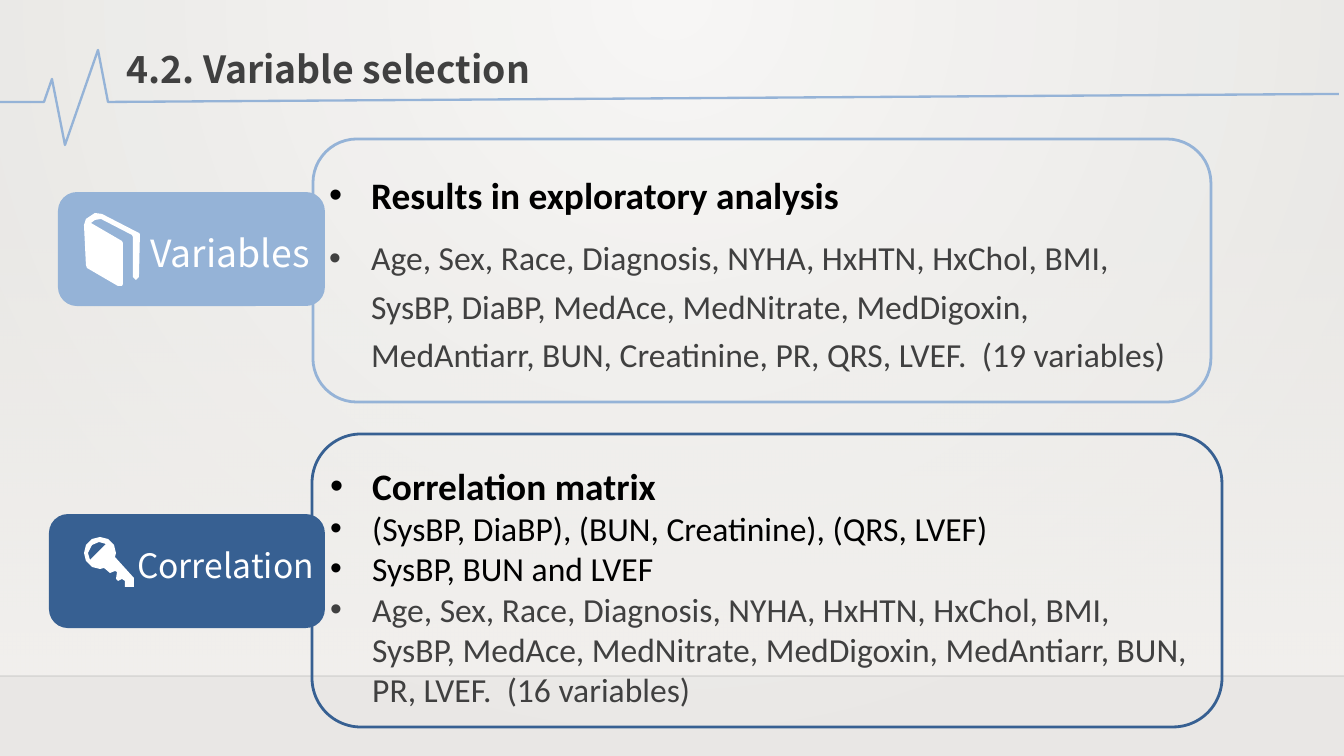
from math import cos, radians, sin

from lxml.etree import SubElement
from pptx import Presentation
from pptx.dml.color import RGBColor
from pptx.enum.shapes import MSO_CONNECTOR, MSO_SHAPE
from pptx.enum.text import MSO_ANCHOR, MSO_AUTO_SIZE, PP_ALIGN
from pptx.oxml.ns import qn
from pptx.util import Pt

PX = 6804  # EMU per pixel
COLORS = {"light": "95B3D7", "dark": "376092", "white": "FFFFFF",
          "gray": "404040", "black": "000000", "sand": "DFDBD5",
          "bg_in": "ECEAE7", "bg_out": "CAC7C1"}
RGB = {name: RGBColor.from_string(value) for name, value in COLORS.items()}
HEAD, BODY = "Noto Sans CJK SC", "Calibri"


def style(sp, fill=None, line=None, width=1):
    sp.shadow.inherit = False
    if fill:
        sp.fill.solid()
        sp.fill.fore_color.rgb = RGB[fill]
    else:
        sp.fill.background()
    if line:
        sp.line.color.rgb = RGB[line]
        sp.line.width = Pt(width)
    else:
        sp.line.fill.background()


def write(p, text, font=BODY, size=18, color="black", bold=False,
          align=PP_ALIGN.LEFT, spacing=1, before=0, bullet=False):
    p.alignment = align
    p.line_spacing = spacing
    p.space_before = Pt(before)
    if bullet:
        pPr = p._p.get_or_add_pPr()
        pPr.set("marL", str(42 * PX))
        pPr.set("indent", str(-42 * PX))
        SubElement(pPr, qn("a:buFont"), typeface="Arial")
        SubElement(pPr, qn("a:buChar"), char="•")
    r = p.add_run()
    r.text = text
    r.font.name, r.font.size, r.font.bold = font, Pt(size), bold
    r.font.color.rgb = RGB[color]


prs = Presentation()
prs.slide_width, prs.slide_height = 1344 * PX, 756 * PX
s = prs.slides.add_slide(prs.slide_layouts[5])

# Background: radial gradient
fill = s.background.fill
fill.gradient()
for stop, name in zip(fill.gradient_stops, ("bg_in", "bg_out")):
    stop.color.rgb = RGB[name]
grad = s.element.find(".//" + qn("a:gradFill"))
grad.remove(grad.find(qn("a:lin")))
path = SubElement(grad, qn("a:path"), path="circle")
SubElement(path, qn("a:fillToRect"), l="43000", t="0", r="43000", b="100000")

# Background: fading wall, floor line and white veil
wall = s.shapes.add_shape(MSO_SHAPE.RECTANGLE, 0, 223 * PX, 1344 * PX, 453 * PX)
style(wall)
wall.fill.gradient()
wall.fill.gradient_angle = 270
for stop in wall.fill.gradient_stops:
    stop.color.rgb = RGB["sand"]
floor = s.shapes.add_connector(MSO_CONNECTOR.STRAIGHT, 0, 676 * PX, 1344 * PX, 676 * PX)
floor.line.color.rgb = RGB["black"]
floor.line.width = Pt(1)
SubElement(floor.element.spPr, qn("a:effectLst"))
veil = s.shapes.add_shape(MSO_SHAPE.RECTANGLE, 0, 0, 1344 * PX, 756 * PX)
style(veil, fill="white")
for sp, percent in ((wall, 0), (floor, 20), (veil, 59)):
    color = sp.element.find(".//" + qn("a:srgbClr"))
    SubElement(color, qn("a:alpha"), val=str(percent * 1000))

# Heartbeat line
pulse = [(0, 102), (44, 102), (52, 79), (65, 145), (98, 50), (108, 102), (1339, 94)]
fb = s.shapes.build_freeform(*pulse[0], scale=PX)
fb.add_line_segments(pulse[1:], close=False)
style(fb.convert_to_shape(), line="light", width=1.25)

# Frames and label cards
for box, fill, line in (
    ((313, 139, 898, 263), None, "light"),
    ((312, 434, 910, 293), None, "dark"),
    ((49, 514, 276, 114), "dark", None),
    ((58, 192, 267, 114), "light", None),
):
    sp = s.shapes.add_shape(MSO_SHAPE.ROUNDED_RECTANGLE, *[v * PX for v in box])
    style(sp, fill, line, 1.5)

# Title
title = s.shapes.title
title.left, title.top, title.width, title.height = [v * PX for v in (109, 39, 439, 59)]
tf = title.text_frame
tf.word_wrap = False
tf.auto_size = MSO_AUTO_SIZE.SHAPE_TO_FIT_TEXT
tf.vertical_anchor = MSO_ANCHOR.TOP
write(tf.paragraphs[0], "4.2. Variable selection", font=HEAD, size=20,
      color="gray", bold=True, align=PP_ALIGN.CENTER)
title.element.getparent().append(title.element)  # in front of the veil

# Labels and bullet lists
label = dict(font=HEAD, color="white")
loose = dict(spacing=1.2, before=6.4, bullet=True)
texts = [
    ((137, 224, 188, 59), False, [("Variables", dict(label, size=20))]),
    ((124, 538, 220, 54), True, [("Correlation", label)]),
    ((316, 157, 887, 222), True, [
        ("Results in exploratory analysis", dict(loose, size=20, bold=True)),
        ("Age, Sex, Race, Diagnosis, NYHA, HxHTN, HxChol, BMI, SysBP, DiaBP, "
         "MedAce, MedNitrate, MedDigoxin, MedAntiarr, BUN, Creatinine, PR, QRS, "
         "LVEF.  (19 variables)", dict(loose, color="gray")),
    ]),
    ((317, 434, 886, 325), True, [
        ("Correlation matrix", dict(size=20, bold=True, spacing=1.5, bullet=True)),
        ("(SysBP, DiaBP), (BUN, Creatinine), (QRS, LVEF)", dict(bullet=True)),
        ("SysBP, BUN and LVEF", dict(bullet=True)),
        ("Age, Sex, Race, Diagnosis, NYHA, HxHTN, HxChol, BMI, SysBP, MedAce, "
         "MedNitrate, MedDigoxin, MedAntiarr, BUN, PR, LVEF.  (16 variables)",
         dict(color="gray", bullet=True)),
    ]),
]
for box, wrap, paragraphs in texts:
    tf = s.shapes.add_textbox(*[v * PX for v in box]).text_frame
    tf.word_wrap = wrap
    tf.auto_size = MSO_AUTO_SIZE.SHAPE_TO_FIT_TEXT
    for i, (text, fmt) in enumerate(paragraphs):
        write(tf.add_paragraph() if i else tf.paragraphs[0], text, **fmt)

# Book and key icons
book = [(139, 233), (102, 214), (95, 213), (86, 219), (84, 225), (86, 265),
        (87, 268), (118, 286), (122, 286), (123, 284), (123, 243), (122, 241),
        (91, 223), (95, 220), (101, 219), (132, 235), (133, 237), (133, 277),
        (136, 280), (139, 277), (140, 234)]
bow = [(round(100 + 16 * cos(radians(a))), round(553 + 16 * sin(radians(a))))
       for a in range(75, 376, 15)]
bit = [(134, 578), (134, 587), (125, 587), (125, 581), (122, 579), (118, 581),
       (116, 579), (117, 572), (115, 571), (110, 573)]
hole = [(90, 560), (88, 553), (92, 545), (99, 542), (106, 544)]
for contours in ([book], [bow + bit, hole]):
    fb = s.shapes.build_freeform(*contours[0][0], scale=PX)
    fb.add_line_segments(contours[0][1:])
    for contour in contours[1:]:
        fb.move_to(*contour[0])
        fb.add_line_segments(contour[1:])
    style(fb.convert_to_shape(), fill="white")

prs.save("out.pptx")
